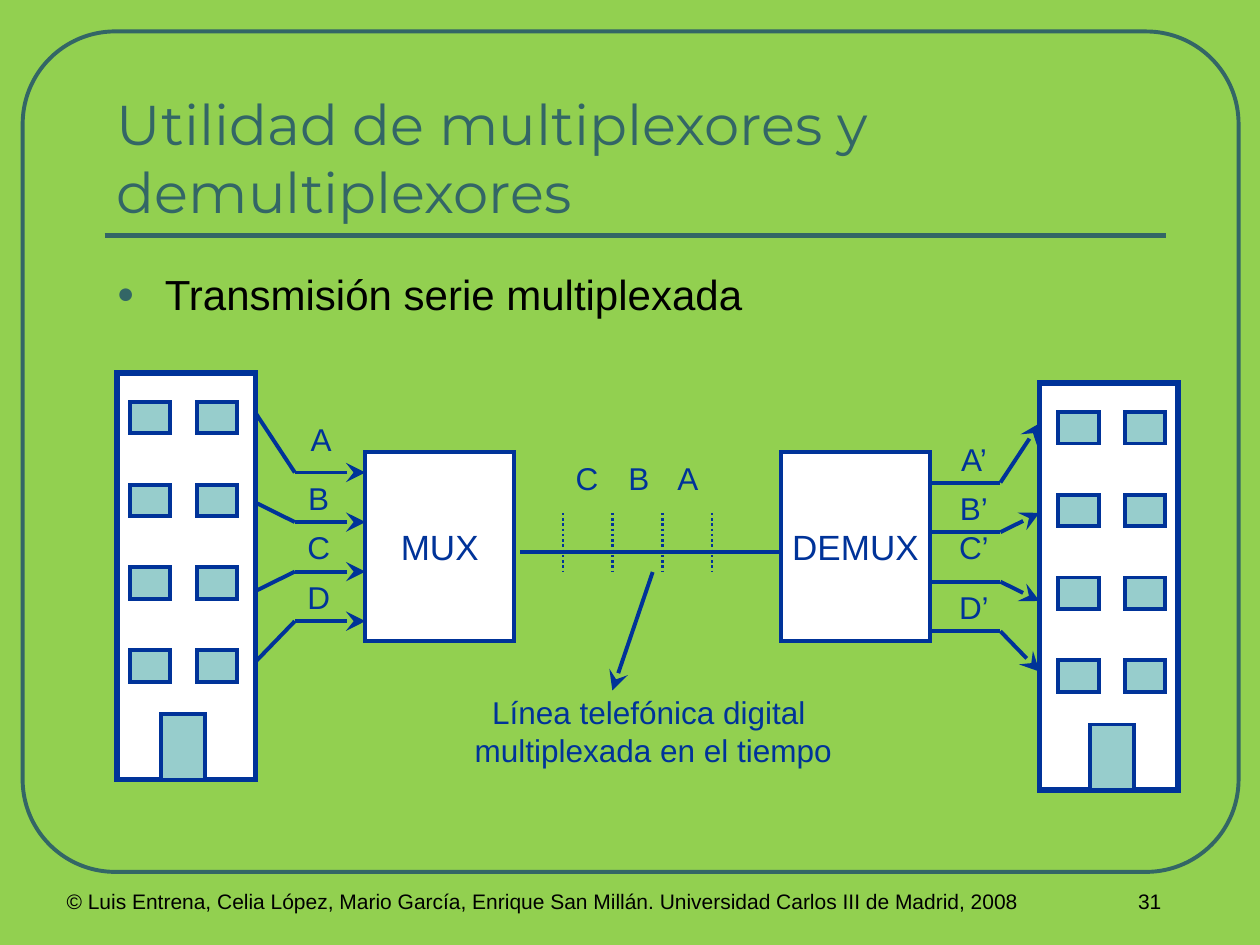
from lxml.etree import SubElement
from pptx import Presentation
from pptx.dml.color import RGBColor
from pptx.enum.dml import MSO_LINE
from pptx.enum.shapes import MSO_CONNECTOR, MSO_SHAPE
from pptx.enum.text import MSO_ANCHOR, PP_ALIGN
from pptx.oxml.ns import qn
from pptx.util import Inches, Pt

GREEN, TEAL, NAVY = "92D050", "336666", "003399"
WHITE, GLASS, BLACK = "FFFFFF", "97CDCC", "000000"

BUILDING_WIDTH, BUILDING_HEIGHT = 1.1, 3.23
WINDOW_WIDTH, DOOR_WIDTH = 0.32, 0.35
BOX_TOP, BOX_WIDTH, BOX_HEIGHT = 3.59, 1.18, 1.5
MUX_LEFT, DEMUX_LEFT = 2.9, 6.2
LABEL_WIDTH, LABEL_HEIGHT = 0.6, 0.4
# Heights below the roof of the building
WIRE_DROPS = [0.79 + 1.18 * row / 3 for row in range(4)]
SOCKET_DROPS = [0.32, 1.03, 1.73, 2.29]


def color(hex_string):
    return RGBColor.from_string(hex_string)


def add_box(slide, left, top, width, height, fill=WHITE, line=NAVY, weight=2.25,
            preset=MSO_SHAPE.RECTANGLE):
    shape = slide.shapes.add_shape(preset, Inches(left), Inches(top),
                                   Inches(width), Inches(height))
    shape.shadow.inherit = False
    if fill:
        shape.fill.solid()
        shape.fill.fore_color.rgb = color(fill)
    else:
        shape.fill.background()
    shape.line.color.rgb = color(line)
    shape.line.width = Pt(weight)
    SubElement(shape.line._get_or_add_ln(), qn("a:miter"), lim="800000")
    return shape


def add_line(slide, start, end, line=NAVY, weight=2.25, dash=None, arrow=False):
    points = [Inches(value) for value in (*start, *end)]
    connector = slide.shapes.add_connector(MSO_CONNECTOR.STRAIGHT, *points)
    connector.line.color.rgb = color(line)
    connector.line.width = Pt(weight)
    if dash:
        connector.line.dash_style = dash
    if arrow:
        SubElement(connector.line._get_or_add_ln(), qn("a:tailEnd"),
                   type="stealth", w="lg", len="lg")
    SubElement(connector._element.spPr, qn("a:effectLst"))
    return connector


def write_text(shape, text, size=18, font="Arial", ink=NAVY, align=PP_ALIGN.CENTER,
               anchor=MSO_ANCHOR.MIDDLE, wrap=False, bullet=None):
    frame = shape.text_frame
    frame.word_wrap = wrap
    frame.vertical_anchor = anchor
    paragraph = frame.paragraphs[0]
    paragraph.text = text
    paragraph.alignment = align
    if bullet:
        add_bullet(paragraph, bullet)
    for run in paragraph.runs:
        run.font.size = Pt(size)
        run.font.name = font
        run.font.color.rgb = color(ink)


def add_bullet(paragraph, character):
    properties = paragraph._p.get_or_add_pPr()
    properties.set("marL", str(Inches(0.38)))
    properties.set("indent", str(-Inches(0.38)))
    bullet_color = SubElement(properties, qn("a:buClr"))
    SubElement(bullet_color, qn("a:srgbClr"), val=TEAL)
    SubElement(properties, qn("a:buSzPct"), val="70000")
    SubElement(properties, qn("a:buFont"), typeface="Arial")
    SubElement(properties, qn("a:buChar"), char=character)


def add_text(slide, text, left, top, width, height, **text_format):
    shape = slide.shapes.add_textbox(Inches(left), Inches(top),
                                     Inches(width), Inches(height))
    write_text(shape, text, **text_format)


def add_label(slide, text, center, middle):
    add_text(slide, text, center - LABEL_WIDTH / 2, middle - LABEL_HEIGHT / 2,
             LABEL_WIDTH, LABEL_HEIGHT)


def add_building(slide, left, top, mirrored=False):
    def add_part(offset, drop, width, height):
        if mirrored:
            offset = BUILDING_WIDTH - offset - width
        add_box(slide, left + offset, top + drop, width, height, GLASS)

    add_box(slide, left, top, BUILDING_WIDTH, BUILDING_HEIGHT, weight=3)
    for row in range(4):
        for offset in (0.1, 0.63):
            add_part(offset, 0.23 + 1.97 * row / 3, WINDOW_WIDTH, 0.25)
    add_part(0.35, BUILDING_HEIGHT - 0.52, DOOR_WIDTH, 0.52)


def add_wires(slide, wall, bend, box_side, roof, to_building=False):
    """Join each building socket to the box; arrows point along the signal."""
    for wire_drop, socket_drop in zip(WIRE_DROPS, SOCKET_DROPS):
        corner = (bend, roof + wire_drop)
        add_line(slide, corner, (box_side, roof + wire_drop), arrow=not to_building)
        add_line(slide, corner, (wall, roof + socket_drop), arrow=to_building)


def add_frame(slide):
    frame = add_box(slide, 0.18, 0.25, 9.65, 6.67, fill=None, line=TEAL,
                    preset=MSO_SHAPE.ROUNDED_RECTANGLE)
    frame.adjustments[0] = 0.11
    add_line(slide, (0.83, 1.87), (9.25, 1.87), line=TEAL, weight=3)
    add_text(slide, "© Luis Entrena, Celia López, Mario García, Enrique San Millán. "
             "Universidad Carlos III de Madrid, 2008", 0.43, 7, 8.5, 0.5, size=12,
             ink=BLACK, align=PP_ALIGN.LEFT, anchor=MSO_ANCHOR.TOP, wrap=True)
    add_text(slide, "31", 8.25, 7, 1.75, 0.5, size=12, ink=BLACK,
             anchor=MSO_ANCHOR.TOP, wrap=True)


def add_serial_line(slide):
    add_line(slide, (4.13, 4.38), (DEMUX_LEFT, 4.38))
    for slot in range(4):
        x = 4.47 + 1.18 * slot / 3
        add_line(slide, (x, 4.07), (x, 4.54), weight=1.5, dash=MSO_LINE.ROUND_DOT)
    for text, center in zip("CBA", (4.66, 5.07, 5.46)):
        add_label(slide, text, center, 3.79)
    add_line(slide, (5.18, 4.54), (4.86, 5.48), arrow=True)
    add_text(slide, "Línea telefónica digital \vmultiplexada en el tiempo",
             2.82, 5.45, 4.73, 0.7, wrap=True)


def main():
    presentation = Presentation()
    presentation.slide_width, presentation.slide_height = Inches(10), Inches(7.5)
    slide = presentation.slides.add_slide(presentation.slide_layouts[6])
    slide.background.fill.solid()
    slide.background.fill.fore_color.rgb = color(GREEN)

    add_frame(slide)
    add_text(slide, "Utilidad de multiplexores y demultiplexores", 0.83, 0.58, 8.42, 1.25,
             size=32, font="Montserrat", ink=TEAL, align=PP_ALIGN.LEFT,
             anchor=MSO_ANCHOR.BOTTOM, wrap=True)
    add_text(slide, "Transmisión serie multiplexada", 0.83, 2.08, 8.42, 4.42, size=24,
             ink=BLACK, align=PP_ALIGN.LEFT, anchor=MSO_ANCHOR.TOP, wrap=True, bullet="●")

    add_building(slide, 0.93, 2.96)
    add_wires(slide, 2.03, 2.34, MUX_LEFT, 2.96)
    add_building(slide, 8.25, 3.04, mirrored=True)
    add_wires(slide, 8.25, 7.94, DEMUX_LEFT + BOX_WIDTH, 3.04, to_building=True)
    for text, left in (("MUX", MUX_LEFT), ("DEMUX", DEMUX_LEFT)):
        box = add_box(slide, left, BOX_TOP, BOX_WIDTH, BOX_HEIGHT)
        write_text(box, text, size=20)
    add_serial_line(slide)

    for text, center, middle in (("A", 2.55, 3.48), ("B", 2.53, 3.95),
                                 ("C", 2.53, 4.34), ("D", 2.53, 4.74),
                                 ("A’", 7.73, 3.64), ("B’", 7.73, 4.03),
                                 ("C’", 7.73, 4.34), ("D’", 7.73, 4.82)):
        add_label(slide, text, center, middle)
    presentation.save("out.pptx")


if __name__ == "__main__":
    main()
